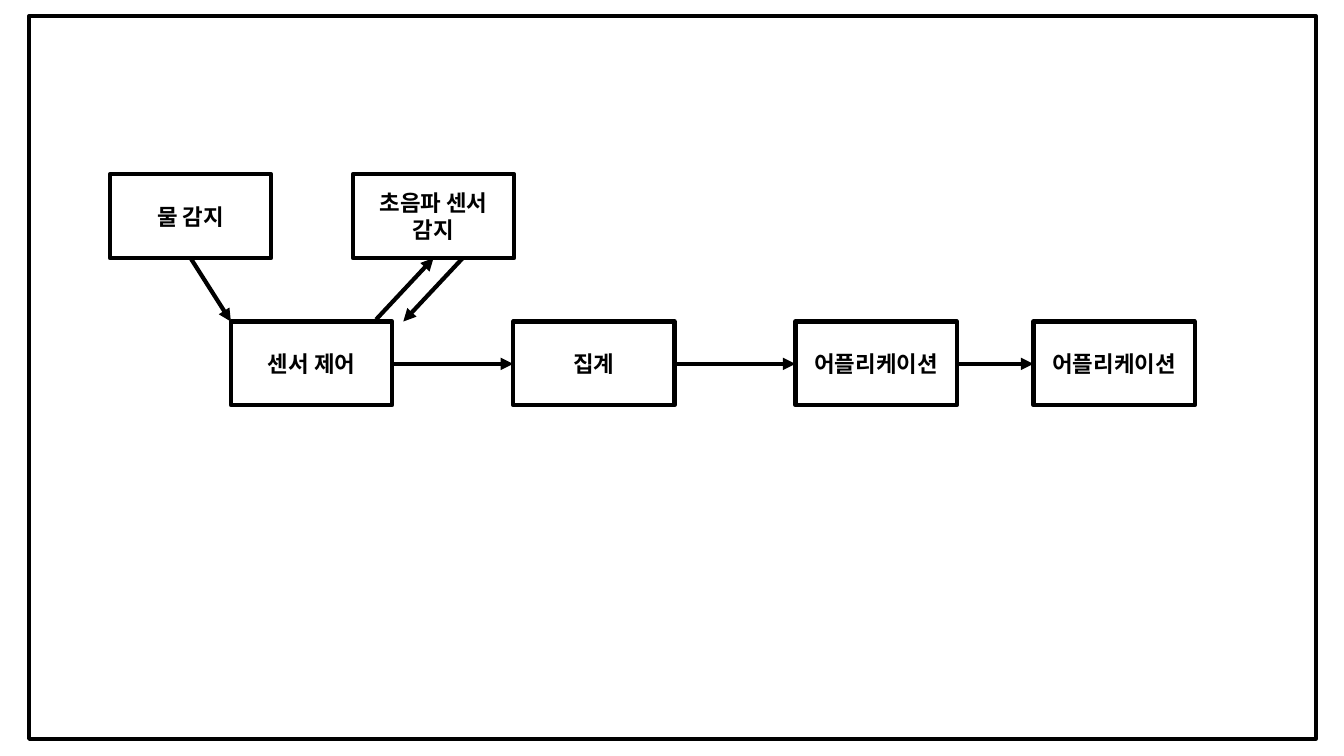
import pptx
import pptx.dml.color
import pptx.enum.shapes
import pptx.enum.text
import pptx.oxml.ns
import pptx.util
from lxml import etree

PX = 9144
COLORS = {"ink": "000000", "paper": "FFFFFF"}
FONT = "Calibri"
STROKE = 3
STEP_WIDTH, STEP_HEIGHT = 160, 83


def color(name):
    """Return the named colour as an RGB value."""
    return pptx.dml.color.RGBColor.from_string(COLORS[name])


def style_line(line):
    """Give an outline or connector the diagram stroke."""
    line.color.rgb = color("ink")
    line.width = pptx.util.Pt(STROKE)


def write_text(box, text, size=16, bold=True, ink="ink"):
    """Write centred text into a shape, one paragraph per line."""
    frame = box.text_frame
    frame.word_wrap = True
    frame.vertical_anchor = pptx.enum.text.MSO_ANCHOR.MIDDLE
    for index, line in enumerate(text.split("\n")):
        para = frame.add_paragraph() if index else frame.paragraphs[0]
        para.alignment = pptx.enum.text.PP_ALIGN.CENTER
        span = para.add_run()
        span.text = line
        span.font.name = FONT
        span.font.size = pptx.util.Pt(size)
        span.font.bold = bold
        span.font.color.rgb = color(ink)


def add_box(page, left, top, width, height):
    """Add an unfilled outlined rectangle."""
    box = page.shapes.add_shape(
        pptx.enum.shapes.MSO_SHAPE.RECTANGLE,
        *(value * PX for value in (left, top, width, height)))
    box.shadow.inherit = False
    box.fill.background()
    style_line(box.line)
    return box


def add_arrow(page, start, end):
    """Add a straight arrow from start to end."""
    arrow = page.shapes.add_connector(
        pptx.enum.shapes.MSO_CONNECTOR.STRAIGHT,
        *(value * PX for value in (*start, *end)))
    style_line(arrow.line)
    qn = pptx.oxml.ns.qn
    etree.SubElement(arrow.line._get_or_add_ln(), qn("a:tailEnd"), type="triangle")
    etree.SubElement(arrow._element.spPr, qn("a:effectLst"))


def add_steps(page, left, top, steps):
    """Add a row of labelled steps at offsets from the left edge."""
    for offset, label in steps:
        box = add_box(page, left + offset, top, STEP_WIDTH, STEP_HEIGHT)
        write_text(box, label)


def add_sensors(page, left, top, flow_left, flow_top):
    """Add the two detectors and their arrows to the sensor control step."""
    ultrasonic = 241
    add_steps(page, left, top, [(0, "물 감지"), (ultrasonic, "초음파 센서\n감지")])
    bottom = top + STEP_HEIGHT
    middle = STEP_WIDTH // 2
    add_arrow(page, (left + middle, bottom), (flow_left, flow_top))
    add_arrow(page, (flow_left + 144, flow_top - 2),
              (left + ultrasonic + middle, bottom))
    add_arrow(page, (left + ultrasonic + 109, bottom), (flow_left + 171, flow_top))


def add_flow(page, left, top):
    """Add the main row of steps and the arrows between neighbours."""
    steps = [(0, "센서 제어"), (280, "집계"), (560, "어플리케이션"), (796, "어플리케이션")]
    add_steps(page, left, top, steps)
    middle = top + STEP_HEIGHT // 2 + 1
    for (before, _), (after, _) in zip(steps, steps[1:]):
        add_arrow(page, (left + before + STEP_WIDTH, middle), (left + after, middle))


def build_diagram(page, left, top, width, height):
    """Draw the framed sensor diagram inside the given box."""
    add_box(page, left, top, width, height)
    flow_left, flow_top = left + 200, top + 303
    add_sensors(page, left + 80, top + 157, flow_left, flow_top)
    add_flow(page, flow_left, flow_top)


def main():
    """Build and save the deck."""
    deck = pptx.Presentation()
    deck.slide_width, deck.slide_height = 1333 * PX, 750 * PX
    page = deck.slides.add_slide(deck.slide_layouts[6])
    page.background.fill.solid()
    page.background.fill.fore_color.rgb = color("paper")
    build_diagram(page, 29, 16, 1276, 717)
    deck.save("out.pptx")


if __name__ == "__main__":
    main()
